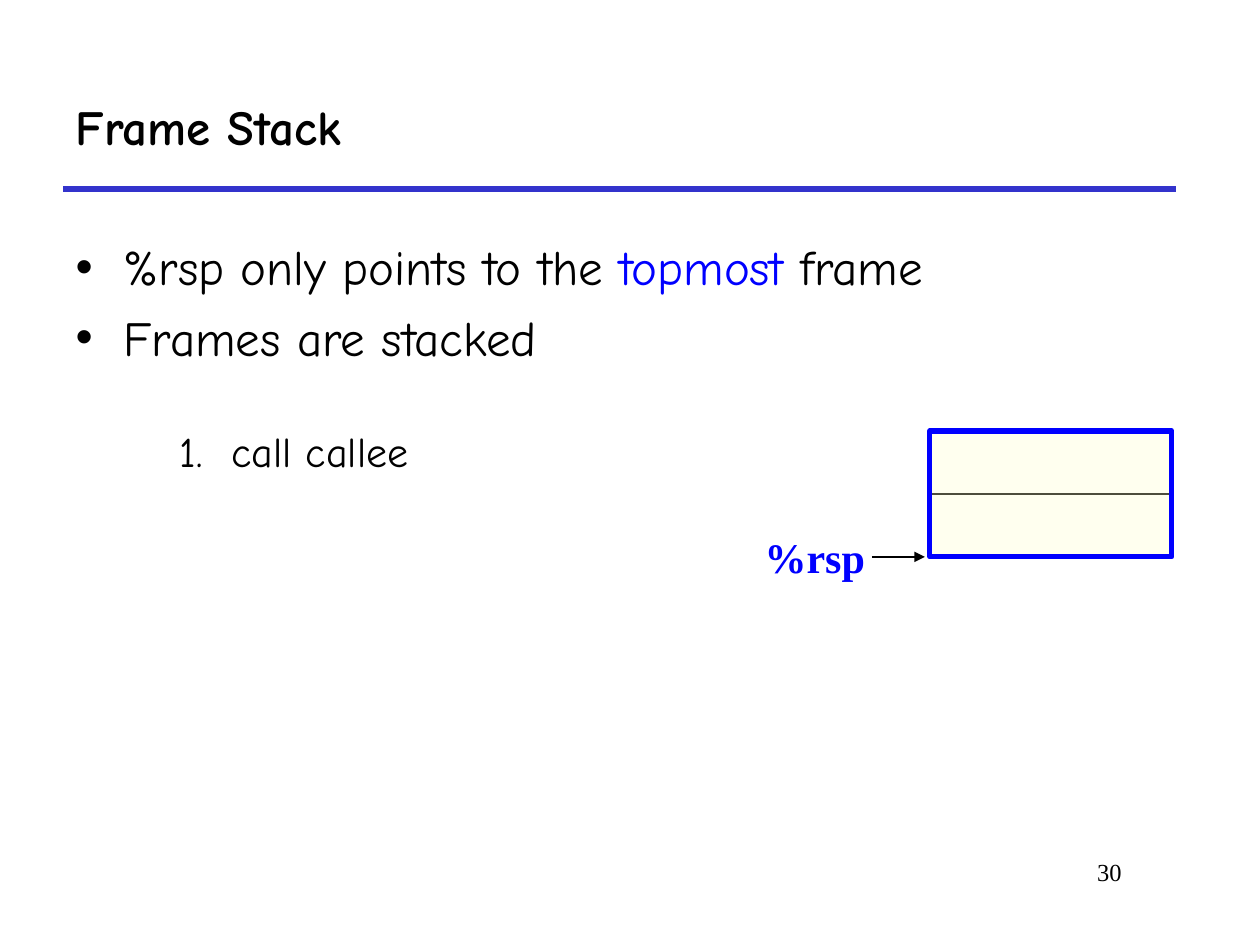
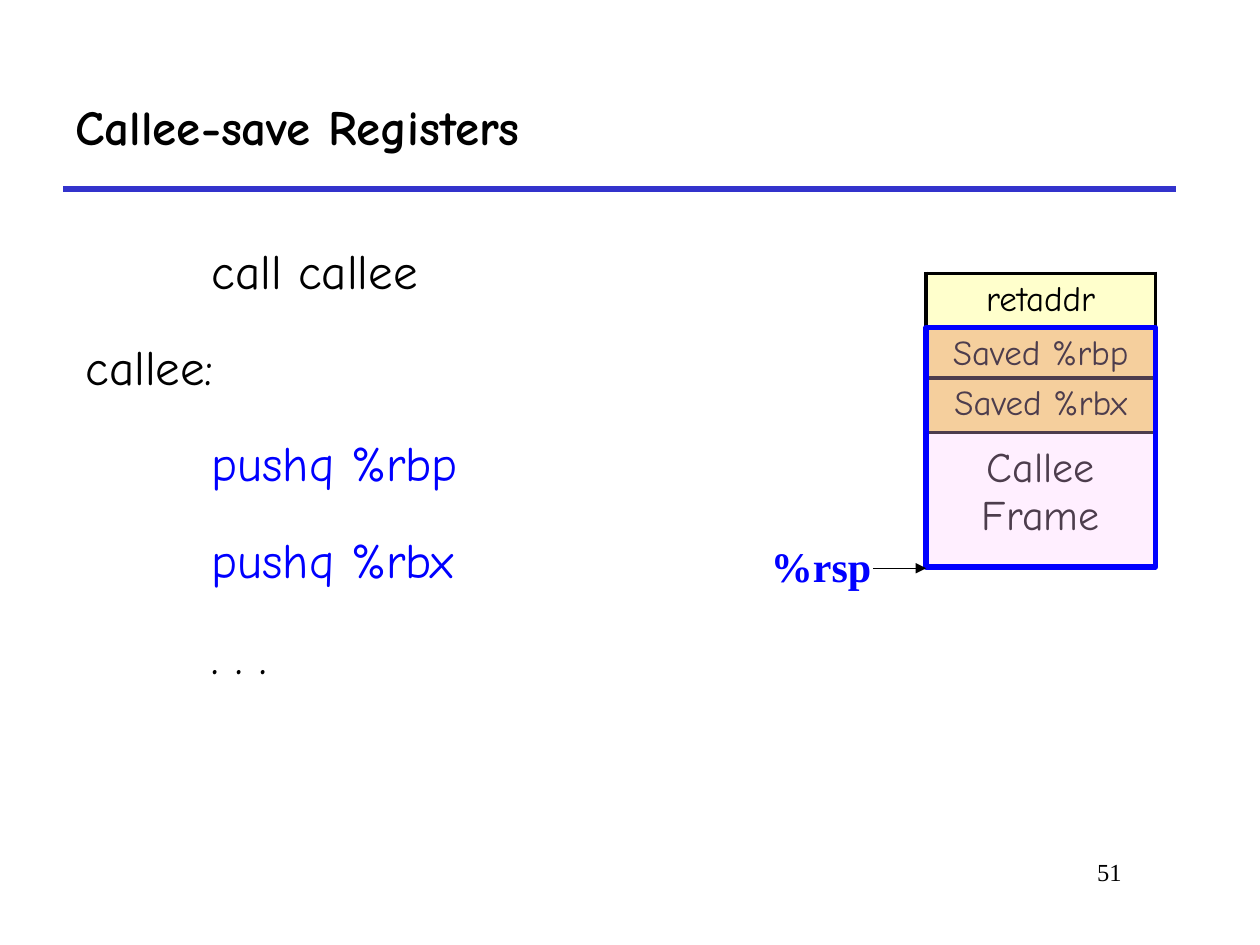
from dataclasses import dataclass

from lxml.etree import SubElement
from pptx import Presentation
from pptx.dml.color import RGBColor
from pptx.enum.shapes import MSO_CONNECTOR as Connector, MSO_SHAPE as Preset
from pptx.enum.text import MSO_ANCHOR as Anchor, MSO_AUTO_SIZE as AutoSize, PP_ALIGN as Align
from pptx.oxml import parse_xml
from pptx.oxml.ns import nsdecls, qn
from pptx.util import Inches, Pt

COLORS = {
    "black": "000000",
    "white": "FFFFFF",
    "blue": "0000FF",
    "rule": "3333CC",
    "cream": "FFFFCC",
    "gold": "F2D174",
    "pink": "FFCCFF",
}
BODY_FONT = "Comic Neue"
LABEL_FONT = "Times New Roman"
OVERLAY_ALPHA = 30


@dataclass
class Box:
    left: float
    top: float
    width: float
    height: float

    def inches(self) -> tuple:
        return tuple(Inches(n) for n in (self.left, self.top, self.width, self.height))


@dataclass
class Line:
    """One body line: (text, color) pieces, with its left margin and first-line indent."""
    pieces: list
    margin: float = 0
    indent: float = 0
    bullet: str = ""


@dataclass
class StackCell:
    text: str
    top: float
    height: float
    fill: str = ""
    size: int = 20
    margin_top: float = 0.05


@dataclass
class Pointer:
    """The %rsp label and the arrow that leads from it to the stack."""
    label: Box
    start: float
    end: float
    y: float
    weight: float


def rgb(name: str) -> RGBColor:
    return RGBColor.from_string(COLORS[name])


def format_runs(paragraph, size: int, color: str = "black", font: str = BODY_FONT, bold: bool = False) -> None:
    for run in paragraph.runs:
        run.font.name, run.font.size, run.font.bold = font, Pt(size), bold
        run.font.color.rgb = rgb(color)


def set_indent(paragraph, margin: float, indent: float) -> None:
    properties = paragraph._p.get_or_add_pPr()
    properties.set("marL", str(Inches(margin)))
    properties.set("indent", str(Inches(indent)))


def set_bullet(paragraph, tag: str, **attributes: str) -> None:
    SubElement(paragraph._p.get_or_add_pPr(), qn(tag), attributes)


def add_text(slide, box: Box, text: str, size: int, wrap: bool = True, **style):
    frame = slide.shapes.add_textbox(*box.inches()).text_frame
    frame.word_wrap = wrap
    frame.text = text
    paragraph = frame.paragraphs[0]
    format_runs(paragraph, size, **style)
    return paragraph


def add_line(slide, start: tuple, end: tuple, color: str, weight: float, arrow: bool = False) -> None:
    connector = slide.shapes.add_connector(Connector.STRAIGHT, *(Inches(n) for n in start + end))
    connector.line.color.rgb = rgb(color)
    connector.line.width = Pt(weight)
    if arrow:
        SubElement(connector.line._get_or_add_ln(), qn("a:tailEnd"), type="triangle")
    SubElement(connector._element.spPr, qn("a:effectLst"))


def add_base_slide(presentation, title: str, number: str):
    """Title, rule and slide number, the same on every slide."""
    slide = presentation.slides.add_slide(presentation.slide_layouts[1])
    add_line(slide, (0.5, 1.5), (9.33, 1.5), "rule", 3)
    shape = slide.shapes.title
    shape.left, shape.top, shape.width, shape.height = Box(0.5, 0.5, 8.83, 1).inches()
    shape.text_frame.text = title
    shape.text_frame.vertical_anchor = Anchor.MIDDLE
    paragraph = shape.text_frame.paragraphs[0]
    paragraph.alignment = Align.LEFT
    format_runs(paragraph, 28, bold=True)
    add_text(slide, Box(7.58, 6.75, 1.42, 0.5), number, 14, font=LABEL_FONT).alignment = Align.RIGHT
    return slide


def fill_body(slide, box: Box, lines: list, gap: float, spacing: float = 1) -> None:
    body = slide.placeholders[1]
    body.left, body.top, body.width, body.height = box.inches()
    frame = body.text_frame
    frame.auto_size = AutoSize.NONE
    for index, line in enumerate(lines):
        paragraph = frame.add_paragraph() if index else frame.paragraphs[0]
        paragraph.line_spacing = spacing
        paragraph.space_before = Pt(gap if index else 0)
        set_indent(paragraph, line.margin, line.indent)
        if line.bullet:
            set_bullet(paragraph, "a:buChar", char=line.bullet)
        else:
            set_bullet(paragraph, "a:buNone")
        for text, _ in line.pieces:
            paragraph.add_run().text = text
        format_runs(paragraph, 28)
        for run, (_, color) in zip(paragraph.runs, line.pieces):
            run.font.color.rgb = rgb(color)


def set_borders(cell, side_weight: float, edge_weight: float) -> None:
    weights = {"lnL": side_weight, "lnR": side_weight, "lnT": edge_weight, "lnB": edge_weight}
    for position, (tag, weight) in enumerate(weights.items()):
        cell._tc.get_or_add_tcPr().insert(position, parse_xml(
            f'<a:{tag} {nsdecls("a")} w="{Pt(weight)}"><a:solidFill>'
            f'<a:srgbClr val="{COLORS["black"]}"/></a:solidFill></a:{tag}>'))


def add_plain_table(slide, box: Box, rows: int = 1):
    table = slide.shapes.add_table(rows, 1, *box.inches()).table
    table.first_row = table.horz_banding = False
    return table


def add_stack_cell(slide, left: float, width: float, entry: StackCell) -> None:
    cell = add_plain_table(slide, Box(left, entry.top, width, entry.height)).cell(0, 0)
    if entry.fill:
        cell.fill.solid()
        cell.fill.fore_color.rgb = rgb(entry.fill)
    else:
        cell.fill.background()
    set_borders(cell, 2.25, 2.25)
    cell.margin_top = Inches(entry.margin_top)
    cell.text_frame.text = entry.text
    for paragraph in cell.text_frame.paragraphs:
        paragraph.alignment = Align.CENTER
        format_runs(paragraph, entry.size)


def add_overlay(slide, box: Box, color: str) -> None:
    """Translucent frame with a blue outline."""
    shape = slide.shapes.add_shape(Preset.RECTANGLE, *box.inches())
    shape.shadow.inherit = False
    shape.fill.solid()
    shape.fill.fore_color.rgb = rgb(color)
    color_element = shape._element.spPr.find(qn("a:solidFill"))[0]
    SubElement(color_element, qn("a:alpha"), val=str(OVERLAY_ALPHA * 1000))
    shape.line.color.rgb = rgb("blue")
    shape.line.width = Pt(3)


def add_pointer(slide, pointer: Pointer) -> None:
    add_text(slide, pointer.label, "%rsp", 24, wrap=False, color="blue", font=LABEL_FONT, bold=True)
    add_line(slide, (pointer.start, pointer.y), (pointer.end, pointer.y), "black", pointer.weight, arrow=True)


def build_frame_stack(presentation) -> None:
    slide = add_base_slide(presentation, "Frame Stack", "30")
    bulleted = {"margin": 0.38, "indent": -0.38, "bullet": "•"}
    fill_body(slide, Box(0.5, 1.83, 8.33, 1.17), [
        Line([("%rsp only points to the ", "black"), ("topmost ", "blue"), ("frame", "black")], **bulleted),
        Line([("Frames are stacked", "black")], **bulleted),
    ], gap=6.5)

    # Numbered step
    step = add_text(slide, Box(0.5, 3.33, 5, 0.51), "call callee", 24)
    set_indent(step, 1.24, -0.41)
    set_bullet(step, "a:buFont", typeface=BODY_FONT)
    set_bullet(step, "a:buAutoNum", type="arabicPeriod")

    # Two-slot stack
    stack = Box(7.38, 3.42, 1.92, 1)
    for cell in add_plain_table(slide, stack, rows=2).iter_cells():
        cell.fill.solid()
        cell.fill.fore_color.rgb = rgb("white")
        set_borders(cell, 2.25, 1)
    add_overlay(slide, stack, "cream")
    add_pointer(slide, Pointer(Box(5.97, 4.17, 1.01, 0.51), 6.92, 7.34, 4.42, 1.5))


def build_callee_save(presentation) -> None:
    slide = add_base_slide(presentation, "Callee-save Registers", "51")
    fill_body(slide, Box(0.58, 1.67, 8.75, 5), [
        Line([("call callee", "black")], margin=1),
        Line([("callee:", "black")]),
        Line([("pushq %rbp", "blue")], margin=1),
        Line([("pushq %rbx", "blue")], margin=1),
        Line([(". . .", "black")], margin=1),
    ], gap=8, spacing=1.4)

    # Stack, from the whole frame to the saved registers on it
    left, width = 7.35, 1.82
    for entry in (
        StackCell("Callee\nFrame", 2.6, 1.9, size=24, margin_top=0.93),
        StackCell("retaddr", 2.17, 0.43, "cream"),
        StackCell("Saved %rbp", 2.6, 0.43, "gold"),
        StackCell("Saved %rbx", 3, 0.43, "gold"),
    ):
        add_stack_cell(slide, left, width, entry)
    add_overlay(slide, Box(left, 2.6, width, 1.9), "pink")
    add_pointer(slide, Pointer(Box(6.02, 4.24, 1.01, 0.51), 6.93, left, 4.51, 0.75))


def main() -> None:
    presentation = Presentation()
    presentation.slide_width, presentation.slide_height = Inches(10), Inches(7.5)
    build_frame_stack(presentation)
    build_callee_save(presentation)
    presentation.save("out.pptx")


if __name__ == "__main__":
    main()
